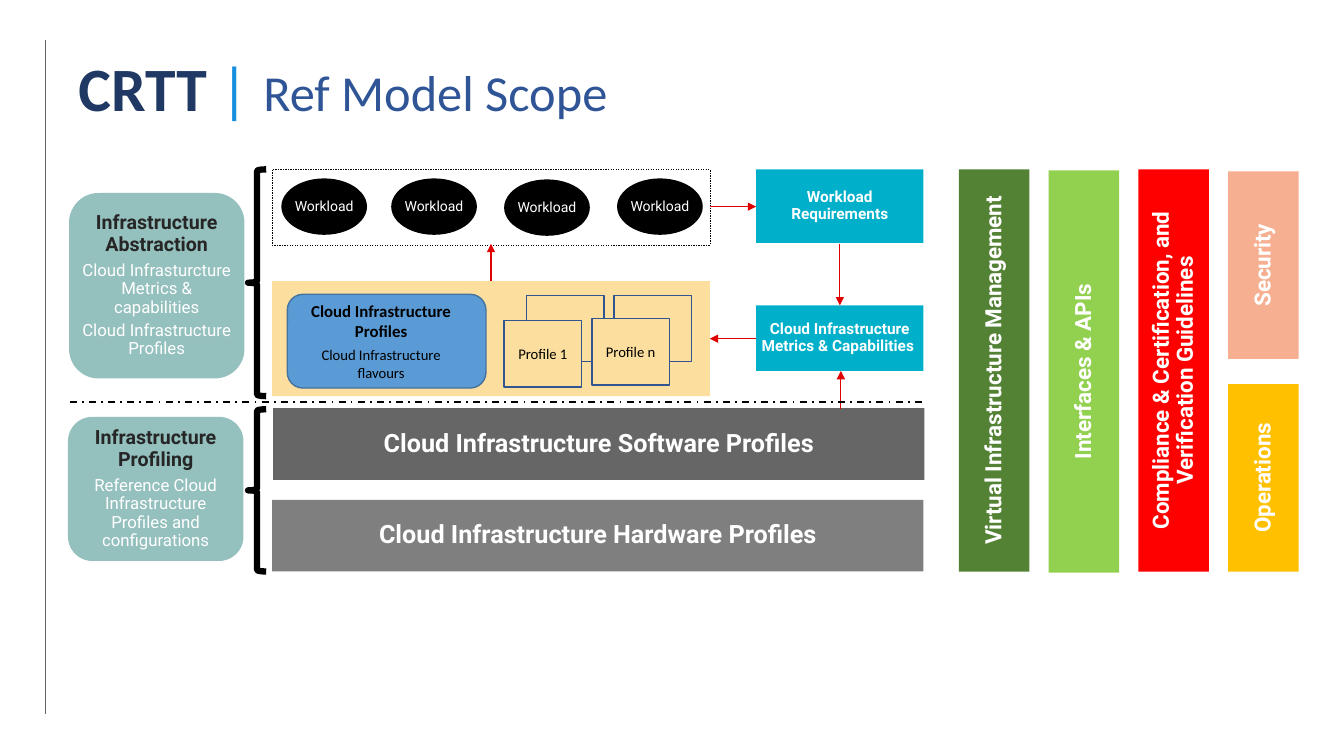
from lxml import etree
from pptx import Presentation
from pptx.dml.color import RGBColor
from pptx.enum import dml, shapes, text
from pptx.oxml.ns import qn
from pptx.util import Inches, Pt

BLACK, WHITE = RGBColor(0, 0, 0), RGBColor(255, 255, 255)
NAVY, SKY, BLUE = (RGBColor.from_string(c) for c in ("203864", "168FDF", "2F5597"))
TEAL, INK, CYAN = (RGBColor.from_string(c) for c in ("94C0BE", "262626", "00B0CA"))
SAND, OUTLINE, RED = (RGBColor.from_string(c) for c in ("FCDF9E", "325491", "E10000"))
FLAVOUR, FLAVOUR_EDGE = RGBColor.from_string("5B9BD5"), RGBColor.from_string("43739E")
RULE = RGBColor.from_string("666666")
KIND, DASH = shapes.MSO_SHAPE, dml.MSO_LINE

# Content: positions are left, top, width, height in inches
LAYERS = [
    ("Cloud Infrastructure Hardware Profiles", (2.7, 4.96, 6.46, 0.71), RGBColor(127, 127, 127)),
    ("Cloud Infrastructure Software Profiles", (2.71, 4.05, 6.46, 0.71), RGBColor(102, 102, 102)),
]
REQUIREMENTS = [
    ("Workload Requirements", (7.5, 1.68, 1.66, 0.73)),
    ("Cloud Infrastructure Metrics & Capabilities ", (7.5, 3.03, 1.66, 0.65)),
]
WORKLOADS = [(2.79, 1.77), (3.88, 1.77), (5, 1.78), (6.12, 1.77)]
STAGES = [
    ("Infrastructure Profiling", ["Reference Cloud Infrastructure Profiles and configurations"],
     (0.68, 4.14, 1.73, 1.42)),
    ("Infrastructure Abstraction", ["Cloud Infrasturcture Metrics & capabilities",
                                    "Cloud Infrastructure Profiles"], (0.69, 1.92, 1.73, 1.83)),
]
BRACES = [(2.46, 1.68, 0.18, 2.25), (2.46, 4.06, 0.18, 1.61)]
PILLARS = [  # text, column, top, height, fill
    ("Virtual Infrastructure Management", 0, 1.68, 3.99, "548235"),
    ("Interfaces & APIs", 1, 1.69, 3.99, "92D050"),
    ("Compliance & Certification, and Verification Guidelines", 2, 1.68, 3.99, "FF0000"),
    ("Security", 3, 1.7, 1.86, "F6AF91"),
    ("Operations", 3, 3.81, 1.86, "FFC000"),
]
PROFILES = [("", 5.22, 2.93), ("", 6.09, 2.93), ("Profile 1", 5, 3.18), ("Profile n", 5.87, 3.16)]
ARROWS = [
    (7.04, 2.05, 7.5, 2.05), (8.33, 2.42, 8.33, 3.03), (7.5, 3.36, 7.04, 3.36),
    (8.34, 4.06, 8.34, 3.68), (4.87, 2.79, 4.87, 2.42),
]

presentation = Presentation()
presentation.slide_width, presentation.slide_height = Inches(13.33), Inches(7.5)
slide = presentation.slides.add_slide(presentation.slide_layouts[6])


def write(paragraph, words, size=12, font="Roboto", color=WHITE, bold=False,
          align=text.PP_ALIGN.CENTER, spacing=0.9, before=0, after=0):
    """Add one formatted run to a paragraph."""
    paragraph.alignment, paragraph.line_spacing = align, spacing
    paragraph.space_before, paragraph.space_after = Pt(before), Pt(after)
    run = paragraph.add_run()
    run.text = words
    run.font.size, run.font.name, run.font.bold = Pt(size), font, bold
    run.font.color.rgb = color


def prepare(frame, inset, anchor=text.MSO_ANCHOR.MIDDLE):
    frame.word_wrap, frame.vertical_anchor = True, anchor
    frame.margin_left = frame.margin_right = Inches(inset)
    frame.margin_top = frame.margin_bottom = Inches(min(inset, 0.05))
    return frame


def add_box(place, words="", kind=KIND.RECTANGLE, fill=None, line=None, width=1, inset=0.01, **style):
    shape = slide.shapes.add_shape(kind, *map(Inches, place))
    shape.shadow.inherit = False
    if fill is None:
        shape.fill.background()
    else:
        shape.fill.solid()
        shape.fill.fore_color.rgb = fill
    if line is None:
        shape.line.fill.background()
    else:
        shape.line.color.rgb, shape.line.width = line, Pt(width)
    frame = prepare(shape.text_frame, inset)
    if words:
        write(frame.paragraphs[0], words, **style)
    return shape


def add_text_box(place, anchor):
    box = slide.shapes.add_textbox(*map(Inches, place))
    return prepare(box.text_frame, 0.1, anchor)


def add_line(ends, color, width=0.75, dash=None, arrow=False):
    line = slide.shapes.add_connector(shapes.MSO_CONNECTOR.STRAIGHT, *map(Inches, ends))
    line.line.color.rgb, line.line.width = color, Pt(width)
    if dash:
        line.line.dash_style = dash
    if arrow:
        etree.SubElement(line.line._get_or_add_ln(), qn("a:tailEnd"), type="triangle")
    etree.SubElement(line._element.spPr, qn("a:effectLst"))


# Margin rule and title
add_line((0.45, 0.4, 0.45, 7.08), RULE, 0.5)
title = add_text_box((0.68, 0.4, 11.96, 1.02), text.MSO_ANCHOR.MIDDLE).paragraphs[0]
for words, size, color, bold in [("CRTT", 44, NAVY, True), (" | ", 44, SKY, False),
                                 ("Ref Model Scope", 36, BLUE, False)]:
    write(title, words, size=size, font="Calibri", color=color, bold=bold,
          align=text.PP_ALIGN.LEFT)

# Infrastructure layers, profile area and requirements
for words, place, fill in LAYERS:
    add_box(place, words, fill=fill, size=18, bold=True)
add_box((2.7, 2.79, 4.34, 1.14), fill=SAND)
for words, place in REQUIREMENTS:
    add_box(place, words, fill=CYAN, size=11, bold=True)

# Workloads in their dashed frame, each label on one line
workload_frame = add_box((2.7, 1.68, 4.34, 0.75), line=BLACK, width=0.25)
workload_frame.line.dash_style = DASH.DASH
for left, top in WORKLOADS:
    workload = add_box((left, top, 0.85, 0.56), "Workload", kind=KIND.OVAL, fill=BLACK, size=10)
    workload.text_frame.word_wrap = False

# Flow arrows and divider
for ends in ARROWS:
    add_line(ends, RED, arrow=True)
add_line((0.69, 3.99, 9.16, 3.99), BLACK, width=1.25, dash=DASH.DASH_DOT)

# Profile flavours
add_box((2.85, 2.92, 1.97, 0.93), kind=KIND.ROUNDED_RECTANGLE, fill=FLAVOUR, line=FLAVOUR_EDGE)
flavours = add_text_box((2.79, 2.84, 1.98, 1), text.MSO_ANCHOR.TOP)
flavours.margin_top = Inches(0.14)
write(flavours.paragraphs[0], "Cloud Infrastructure Profiles", font="Calibri", color=BLACK,
      bold=True, spacing=1)
for words, before in [("Cloud Infrastructure", 4), ("flavours", 0)]:
    write(flavours.add_paragraph(), words, size=10.5, font="Calibri", color=BLACK,
          spacing=1, before=before)

# Braces and stages
for place in BRACES:
    add_box(place, kind=KIND.LEFT_BRACE, line=BLACK, width=4.5)
for heading, details, place in STAGES:
    stage = add_box(place, heading, kind=KIND.FLOWCHART_ALTERNATE_PROCESS, fill=TEAL, line=TEAL,
                    width=0.75, size=14, color=INK, bold=True, after=5)
    for detail in details:
        write(stage.text_frame.add_paragraph(), detail, after=4)

# Vertical pillars: laid out flat about their centre, then turned
for words, column, top, height, fill in PILLARS:
    center = 9.86 + 0.89 * column
    pillar = add_box((center - height / 2, top + height / 2 - 0.35, height, 0.7), words,
                     fill=RGBColor.from_string(fill), size=16, bold=True)
    pillar.rotation = 270

# Stacked profile cards
for words, left, top in PROFILES:
    add_box((left, top, 0.77, 0.66), words, fill=SAND if words else None, line=OUTLINE,
            inset=0.1, size=10.5, font="Calibri", color=BLACK, spacing=1)

presentation.save("out.pptx")
